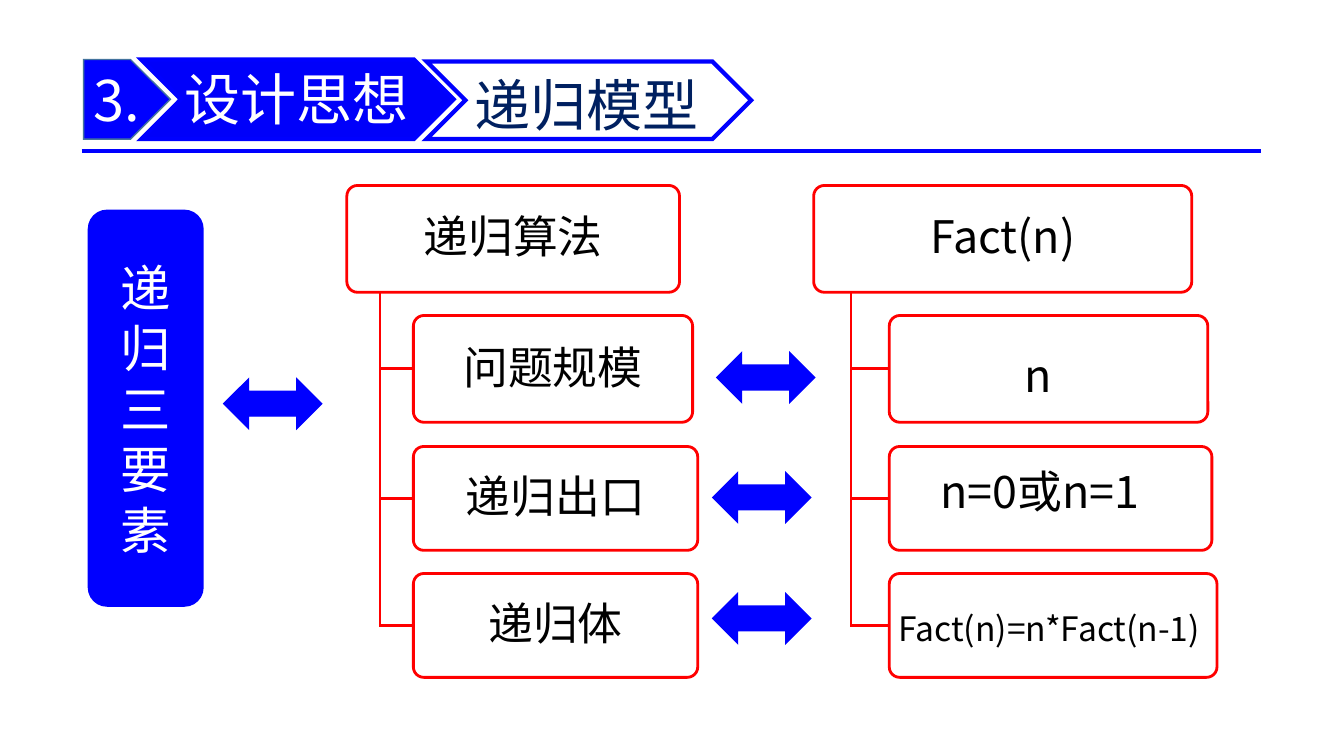
from dataclasses import dataclass
from typing import Optional

from lxml import etree
from pptx import Presentation, util as u
from pptx.dml.color import RGBColor
from pptx.enum import shapes as sh, text as tx
from pptx.oxml.ns import qn

FONT = "Noto Sans CJK SC"
COLORS = {"blue": "0000FF", "title_blue": "0000FA", "steel": "43739E",
          "red": "FF0000", "white": "FFFFFF", "black": "000000", "navy": "002060"}
SHAPE = sh.MSO_SHAPE


@dataclass
class Label:
    text: str
    size: int
    color: str = "black"
    align: tx.PP_ALIGN = tx.PP_ALIGN.CENTER
    spacing: object = None
    insets: tuple = (0.1, 0.05, 0.1, 0.05)


@dataclass
class Block:
    kind: SHAPE
    x: float
    y: float
    w: float
    h: float
    fill: str
    line: Optional[str] = None
    width: float = 1
    adj: Optional[float] = None
    label: Optional[Label] = None


@dataclass
class TextBox:
    x: float
    y: float
    w: float
    h: float
    label: Label
    anchor: tx.MSO_ANCHOR = tx.MSO_ANCHOR.TOP


@dataclass
class Tree:
    x: float
    head_w: float
    trunk_x: float
    child_x: float
    child_ws: tuple
    head: str
    children: tuple


def rgb(name: str) -> RGBColor:
    return RGBColor.from_string(COLORS[name])


def write(sp, label: Label, anchor=tx.MSO_ANCHOR.MIDDLE) -> None:
    tf = sp.text_frame
    tf.word_wrap = True
    tf.vertical_anchor = anchor
    tf.margin_left, tf.margin_top, tf.margin_right, tf.margin_bottom = map(u.Inches, label.insets)
    p = tf.paragraphs[0]
    r = p.add_run()
    r.text = label.text
    p.alignment = label.align
    p.line_spacing = label.spacing
    p.font.size = u.Pt(label.size)
    p.font.name = FONT
    p.font.color.rgb = rgb(label.color)
    etree.SubElement(r.font._element, qn("a:ea")).set("typeface", FONT)


def set_line(sp, color: str, width: float) -> None:
    sp.line.color.rgb = rgb(color)
    sp.line.width = u.Pt(width)
    ln = sp._element.spPr.find(qn("a:ln"))
    etree.SubElement(ln, qn("a:miter")).set("lim", "800000")


def draw_block(s, b: Block) -> None:
    sp = s.shapes.add_shape(b.kind, *map(u.Inches, (b.x, b.y, b.w, b.h)))
    sp.shadow.inherit = False
    sp.fill.solid()
    sp.fill.fore_color.rgb = rgb(b.fill)
    if b.line:
        set_line(sp, b.line, b.width)
    else:
        sp.line.fill.background()
    if b.adj is not None:
        sp.adjustments[0] = b.adj
    if b.label:
        write(sp, b.label)


def draw_text(s, t: TextBox) -> None:
    sp = s.shapes.add_textbox(*map(u.Inches, (t.x, t.y, t.w, t.h)))
    write(sp, t.label, t.anchor)


def draw_rule(s, x1: float, x2: float, y: float) -> None:
    c = s.shapes.add_connector(sh.MSO_CONNECTOR.STRAIGHT, *map(u.Inches, (x1, y, x2, y)))
    c.line.color.rgb = rgb("blue")
    c.line.width = u.Pt(3)
    etree.SubElement(c._element.spPr, qn("a:effectLst"))


def draw_elbow(s, *ends: float) -> None:
    x1, y1, x2, y2 = map(u.Inches, ends)
    fb = s.shapes.build_freeform(x1, y1)
    fb.add_line_segments([(x1, y2), (x2, y2)], close=False)
    sp = fb.convert_to_shape()
    sp.shadow.inherit = False
    sp.fill.background()
    set_line(sp, "red", 2)


HEAD_Y, HEAD_H = 1.84, 1.06
ROWS = ((3.13, 1.06), (4.43, 1.03), (5.69, 1.03))
TIGHT = (0.07, 0.04, 0.07, 0.04)


def draw_tree(s, t: Tree) -> None:
    head = Label(t.head, 32, spacing=0.9, insets=TIGHT)
    draw_block(s, Block(SHAPE.ROUNDED_RECTANGLE, t.x, HEAD_Y, t.head_w, HEAD_H,
                        "white", "red", 2, 0.1, head))
    for (y, h), w, name in zip(ROWS, t.child_ws, t.children):
        draw_elbow(s, t.trunk_x, HEAD_Y + HEAD_H, t.child_x, y + h / 2)
        label = Label(name, 32, spacing=u.Pt(35), insets=TIGHT) if name else None
        draw_block(s, Block(SHAPE.ROUNDED_RECTANGLE, t.child_x, y, w, h,
                            "white", "red", 2, 0.1, label))


LEFT = tx.PP_ALIGN.LEFT
TITLE_INSETS = (0.04, 0.02, 0, 0.02)
MODEL_INSETS = (0.54, 0.02, 0, 0.02)

PILLAR = Block(SHAPE.ROUNDED_RECTANGLE, 0.87, 2.08, 1.15, 3.94, "blue",
               label=Label("递归三要素", 36, "white", spacing=u.Pt(43.2)))
TREES = (
    Tree(3.44, 3.3, 3.77, 4.1, (2.77, 2.82, 2.82), "递归算法", ("问题规模", "递归出口", "递归体")),
    Tree(8.07, 3.75, 8.44, 8.82, (3.16, 3.2, 3.25), "Fact(n)", ("", "", "")),
)
TITLE_BLOCKS = (
    Block(SHAPE.CHEVRON, 4.23, 0.61, 3.22, 0.77, "white", "blue", 3),
    Block(SHAPE.PENTAGON, 0.83, 0.59, 0.86, 0.79, "blue", "steel", 1,
          label=Label("3.", 40, "white", LEFT)),
    Block(SHAPE.CHEVRON, 1.4, 0.59, 3.1, 0.79, "title_blue", "blue", 3),
)
ARROWS = ((2.22, 3.76), (7.11, 3.5), (7.07, 4.69), (7.07, 5.89))
TEXTS = (
    TextBox(4.17, 0.48, 3.01, 1.08,
            Label("递归模型", 40, "navy", LEFT, 1.05, MODEL_INSETS), tx.MSO_ANCHOR.MIDDLE),
    TextBox(1.79, 0.43, 2.84, 1.08,
            Label("设计思想", 40, "white", LEFT, None, TITLE_INSETS), tx.MSO_ANCHOR.MIDDLE),
    TextBox(9.86, 3.45, 0.87, 0.59, Label("n", 32, spacing=u.Pt(35))),
    TextBox(8.86, 4.6, 2.91, 0.59, Label("n=0或n=1", 32, spacing=u.Pt(35))),
    TextBox(8.61, 5.9, 3.59, 0.59, Label("Fact(n)=n*Fact(n-1)", 24, spacing=u.Pt(35))),
)


def main() -> None:
    prs = Presentation()
    prs.slide_width, prs.slide_height = u.Inches(13.33), u.Inches(7.5)
    s = prs.slides.add_slide(prs.slide_layouts[6])
    draw_rule(s, 0.81, 12.51, 1.5)
    draw_block(s, PILLAR)
    for t in TREES:
        draw_tree(s, t)
    for b in TITLE_BLOCKS:
        draw_block(s, b)
    for x, y in ARROWS:
        draw_block(s, Block(SHAPE.LEFT_RIGHT_ARROW, x, y, 0.97, 0.49, "blue", "blue"))
    for t in TEXTS:
        draw_text(s, t)
    prs.save("out.pptx")


if __name__ == "__main__":
    main()
